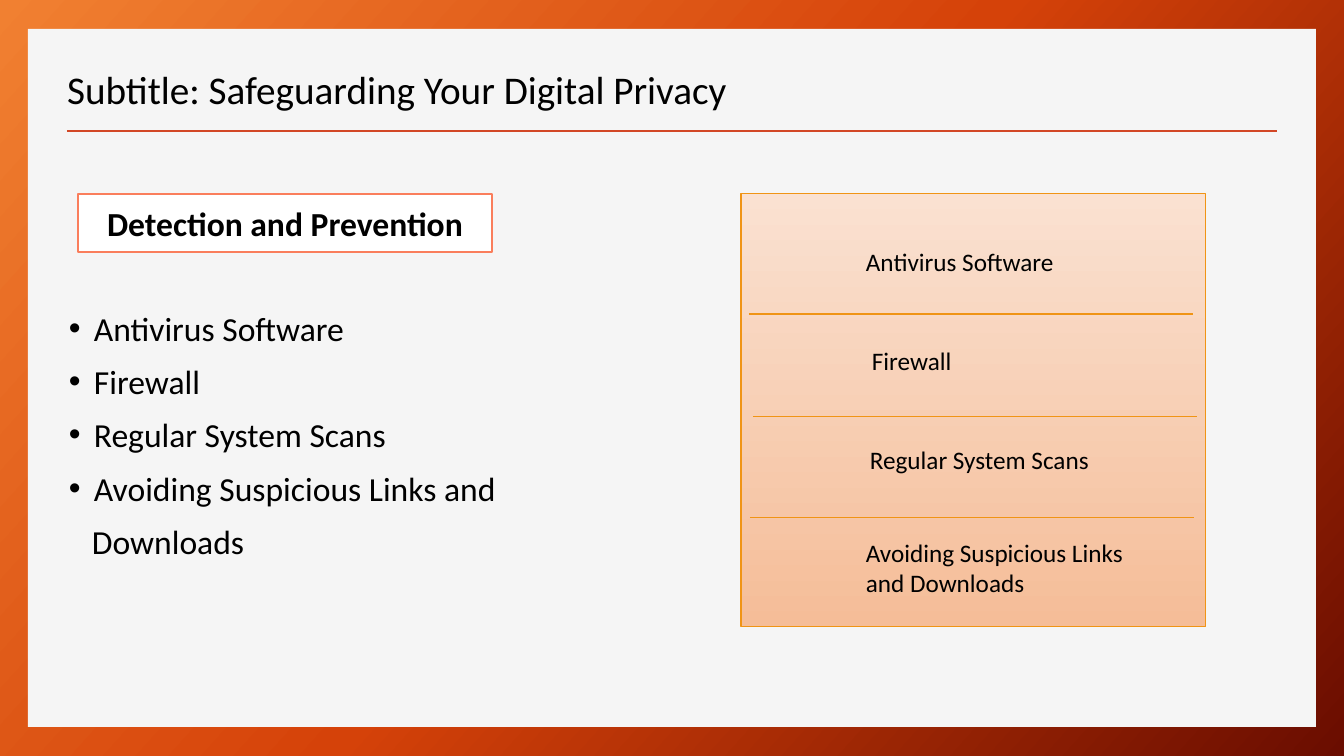
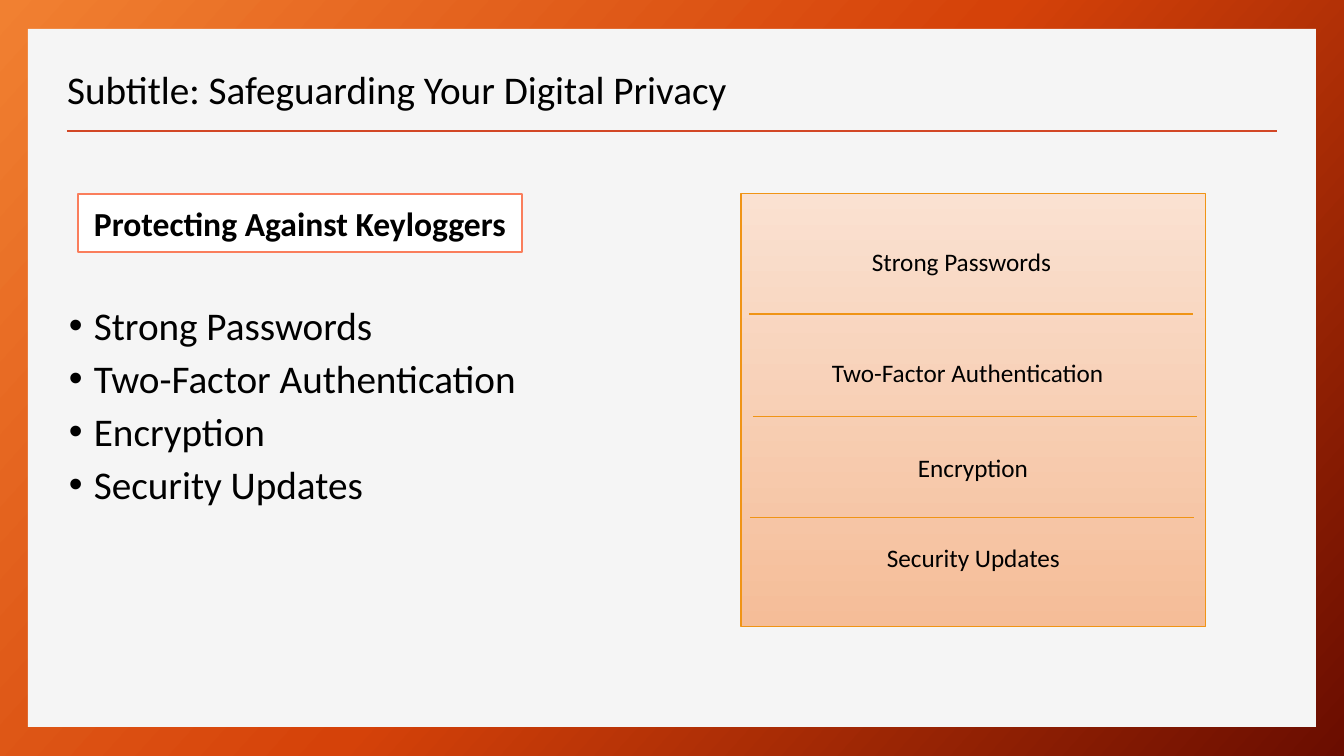
from lxml import etree
from pptx import Presentation
from pptx import util as u
from pptx.dml.color import RGBColor
from pptx.enum import shapes, text
from pptx.oxml import ns

PX = 12192000 / 1344
FONT = "Calibri"
BLACK = RGBColor(0x00, 0x00, 0x00)
WHITE = RGBColor(0xFF, 0xFF, 0xFF)
PAPER = RGBColor(0xF5, 0xF5, 0xF5)
RULE = RGBColor(0xD2, 0x47, 0x26)
CORAL = RGBColor(0xFA, 0x7E, 0x5C)
AMBER = RGBColor(0xF0, 0x94, 0x15)
FRAME = [RGBColor(0xF1, 0x80, 0x31), RGBColor(0xD5, 0x42, 0x09), RGBColor(0x6A, 0x0D, 0x00)]
PEACH = [RGBColor(0xFA, 0xE1, 0xD1), RGBColor(0xF5, 0xBD, 0x98)]

TITLE = "Subtitle: Safeguarding Your Digital Privacy"
DIVIDERS = [(749, 314), (753, 417), (750, 518)]
DIVIDER_WIDTH = 444
SLIDES = [
    {
        "heading": "Detection and Prevention",
        "heading_width": 414,
        "bullet_size": 24,
        "bullets": ["Antivirus Software", "Firewall", "Regular System Scans",
                    "Avoiding Suspicious Links and"],
        "continuation": "Downloads",
        "labels": [
            ("Antivirus Software", 856, 241, 218, 40),
            ("Firewall", 862, 340, 200, 40),
            ("Regular System Scans", 860, 439, 240, 40),
            ("Avoiding Suspicious Links and Downloads", 856, 532, 282, 72),
        ],
    },
    {
        "heading": "Protecting Against Keyloggers",
        "heading_width": 444,
        "bullet_size": 28,
        "bullets": ["Strong Passwords", "Two-Factor Authentication", "Encryption",
                    "Security Updates"],
        "continuation": None,
        "labels": [
            ("Strong Passwords", 862, 241, 218, 40),
            ("Two-Factor Authentication", 822, 352, 351, 40),
            ("Encryption", 908, 447, 240, 40),
            ("Security Updates", 877, 537, 282, 40),
        ],
    },
]


def px(*lengths):
    return [u.Emu(round(length * PX)) for length in lengths]


def paint_gradient(fill, owner, colours, angle):
    fill.gradient()
    fill.gradient_angle = (360 - angle) % 360
    stops = owner.xpath(".//a:gsLst")[0]
    for stop in list(stops):
        stops.remove(stop)
    for index, colour in enumerate(colours):
        position = round(100000 * index / (len(colours) - 1))
        stop = etree.SubElement(stops, ns.qn("a:gs"), pos=str(position))
        etree.SubElement(stop, ns.qn("a:srgbClr"), val=str(colour))


def add_text(paragraph, words, size, bold=False):
    run = paragraph.add_run()
    run.text = words
    run.font.name = FONT
    run.font.size = u.Pt(size)
    run.font.bold = bold
    run.font.color.rgb = BLACK


def add_box(slide, left, top, width, height, fill=None, line=None, weight=1):
    shape = slide.shapes.add_shape(shapes.MSO_SHAPE.RECTANGLE, *px(left, top, width, height))
    shape.shadow.inherit = False
    if fill:
        shape.fill.solid()
        shape.fill.fore_color.rgb = fill
    if line:
        shape.line.color.rgb = line
        shape.line.width = u.Pt(weight)
    else:
        shape.line.fill.background()
    return shape


def add_rule(slide, left, top, width, colour, weight):
    rule = slide.shapes.add_connector(shapes.MSO_CONNECTOR.STRAIGHT,
                                      *px(left, top, left + width, top))
    rule.line.color.rgb = colour
    rule.line.width = u.Pt(weight)
    etree.SubElement(rule.element.spPr, ns.qn("a:effectLst"))
    return rule


def add_text_frame(slide, left, top, width, height):
    frame = slide.shapes.add_textbox(*px(left, top, width, height)).text_frame
    frame.word_wrap = True
    return frame


def decorate_layout(layout, slide):
    paint_gradient(layout.background.fill, layout.element, FRAME, 42)
    page = add_box(slide, 28, 29, 1288, 698, PAPER)
    rule = add_rule(slide, 67, 131, 1210, RULE, 2)
    for index, shape in enumerate((page, rule)):
        layout.shapes.element.insert(2 + index, shape.element)


def add_title(slide):
    title = slide.shapes.title
    title.left, title.top, title.width, title.height = px(57, 58, 758, 60)
    frame = title.text_frame
    frame.auto_size = text.MSO_AUTO_SIZE.NONE
    frame.vertical_anchor = text.MSO_ANCHOR.BOTTOM
    paragraph = frame.paragraphs[0]
    paragraph.alignment = text.PP_ALIGN.LEFT
    paragraph.line_spacing = 0.9
    add_text(paragraph, TITLE, 28)


def add_bullets(slide, content):
    frame = add_text_frame(slide, 59, 318, 477, 172)
    items = [(words, True) for words in content["bullets"]]
    if content["continuation"]:
        items.append((content["continuation"], False))
    for index, (words, bulleted) in enumerate(items):
        paragraph = frame.add_paragraph() if index else frame.paragraphs[0]
        properties = paragraph._p.get_or_add_pPr()
        margin, indent = px(25, -25) if bulleted else px(23, 0)
        properties.set("marL", str(margin))
        properties.set("indent", str(indent))
        if bulleted:
            etree.SubElement(properties, ns.qn("a:buFont"), typeface="Arial")
            etree.SubElement(properties, ns.qn("a:buChar"), char="•")
        paragraph.line_spacing = u.Pt(18)
        paragraph.space_after = u.Pt(20)
        add_text(paragraph, words, content["bullet_size"])


def add_heading(slide, content):
    heading = add_box(slide, 78, 194, content["heading_width"], 58, WHITE, CORAL)
    frame = heading.text_frame
    frame.word_wrap = True
    frame.vertical_anchor = text.MSO_ANCHOR.MIDDLE
    frame.paragraphs[0].alignment = text.PP_ALIGN.CENTER
    add_text(frame.paragraphs[0], content["heading"], 24, True)


def add_panel(slide, content):
    panel = add_box(slide, 741, 194, 465, 433, line=AMBER, weight=0.75)
    paint_gradient(panel.fill, panel.element, PEACH, 90)
    for left, top in DIVIDERS:
        add_rule(slide, left, top, DIVIDER_WIDTH, AMBER, 0.75)
    for words, *place in content["labels"]:
        add_text(add_text_frame(slide, *place).paragraphs[0], words, 18)


def main():
    presentation = Presentation()
    presentation.slide_width, presentation.slide_height = px(1344, 756)
    layout = presentation.slide_layouts[5]
    for index, content in enumerate(SLIDES):
        slide = presentation.slides.add_slide(layout)
        if index == 0:
            decorate_layout(layout, slide)
        add_title(slide)
        add_bullets(slide, content)
        add_heading(slide, content)
        add_panel(slide, content)
    presentation.save("out.pptx")


if __name__ == "__main__":
    main()
